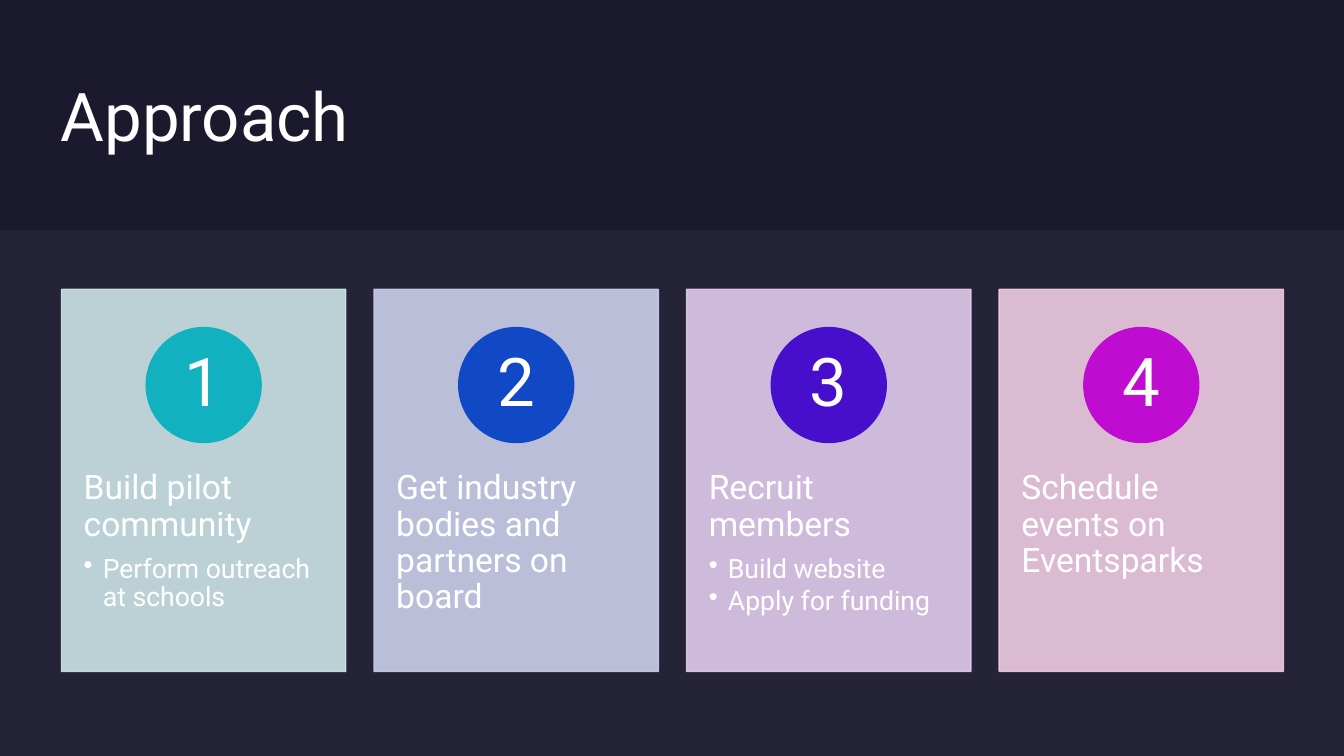
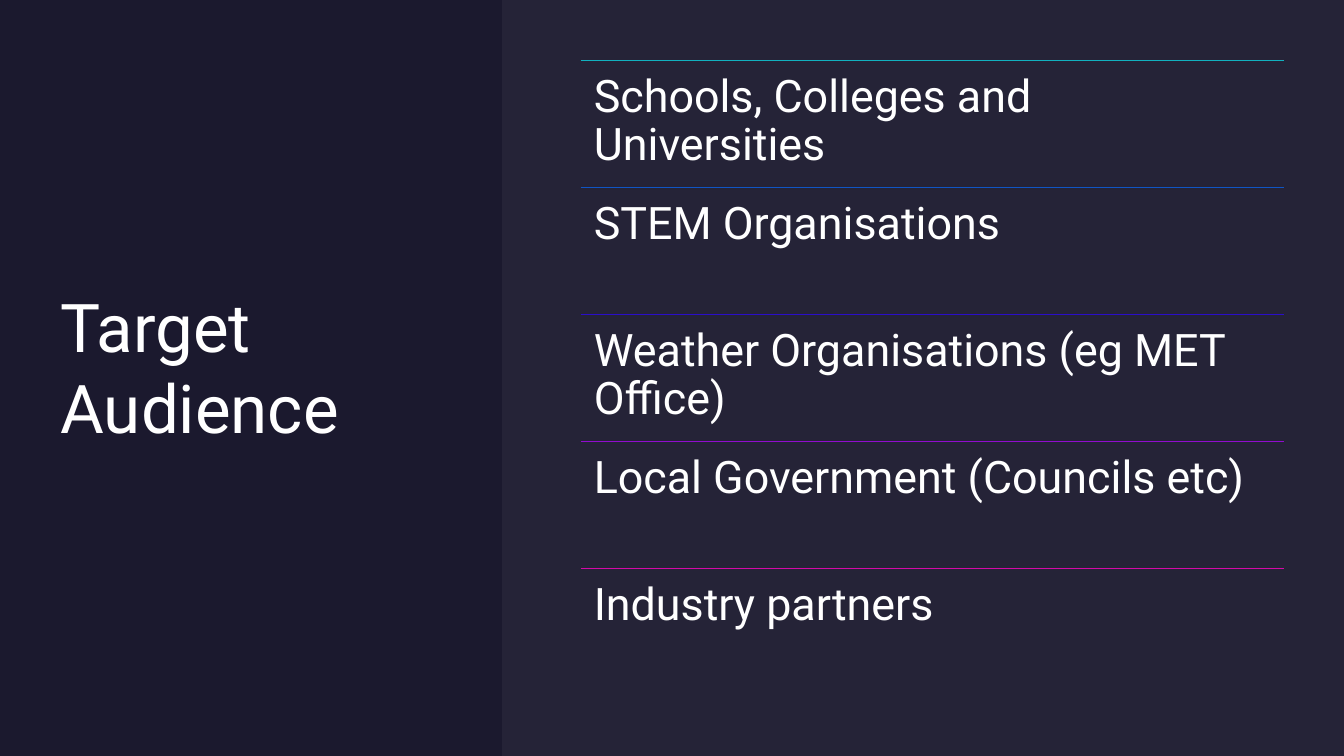
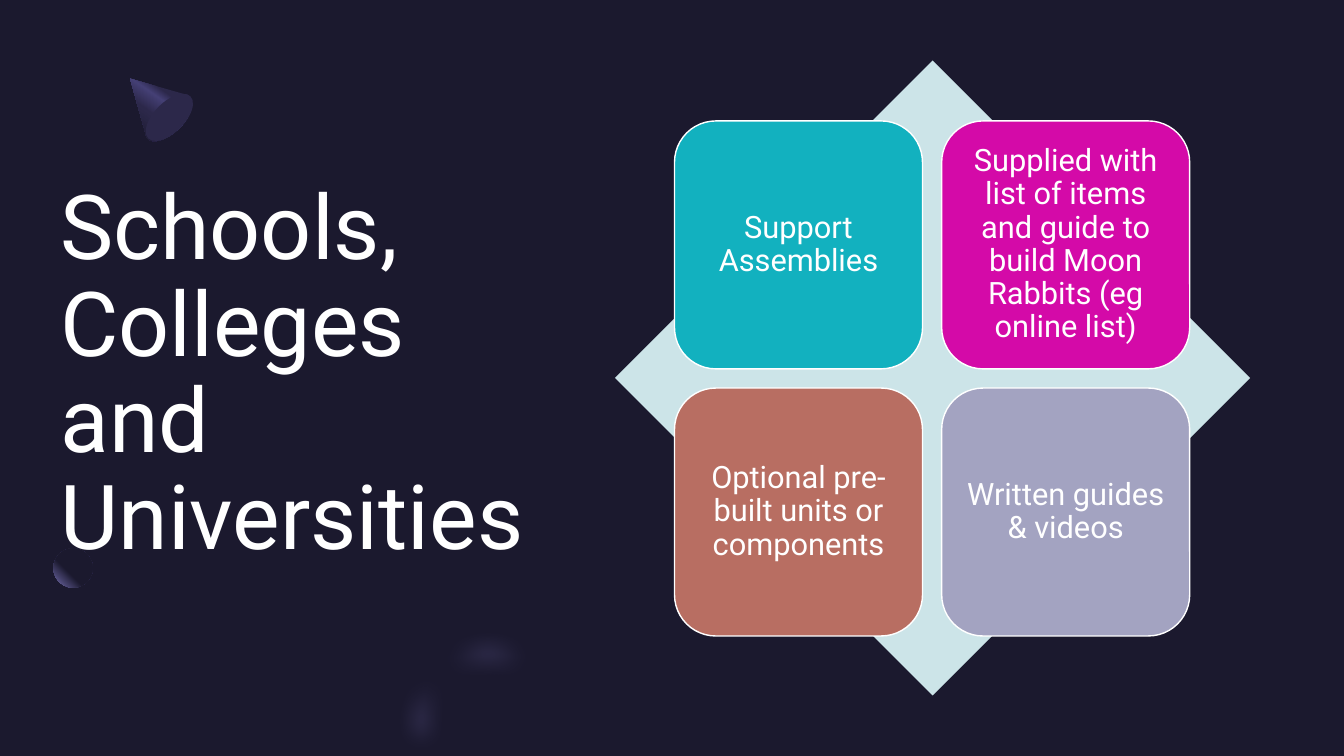
from lxml import etree
from pptx import Presentation
from pptx.dml.color import RGBColor
from pptx.enum import shapes, text
from pptx.oxml import parse_xml
from pptx.oxml.ns import nsdecls, qn
from pptx.util import Inches, Pt

COLORS = {
    "night": "1B192E", "veil": "E4E3F0", "white": "FFFFFF",
    "teal": "12B1BF", "blue": "1048C5", "indigo": "470ECB", "violet": "C00BD1",
    "pale teal": "CCE4E8", "pale blue": "CCCFEB", "pale indigo": "E1CCED", "pale pink": "EFCCE2",
    "azure": "1055C4", "ultramarine": "2A0EC9", "purple": "910CCF", "magenta": "D40AA8",
    "clay": "B86E62", "lavender": "A3A3C1",
    "shade": "2C284A", "dusk": "454075", "glow": "7771B2",
}
FONT = "Roboto"
KIND = shapes.MSO_SHAPE
CENTER = text.PP_ALIGN.CENTER
MIDDLE = text.MSO_ANCHOR.MIDDLE


def rgb(name):
    return RGBColor.from_string(COLORS[name])


def assign(target, values):
    for key, value in values.items():
        setattr(target, key, value)


def outline(start, *steps):
    """Points of a path; a step is an end point or three Bezier points."""
    points = [start]
    for step in steps:
        if len(step) == 2:
            points.append(step)
            continue
        x0, y0 = points[-1]
        x1, y1, x2, y2, x3, y3 = step
        for n in range(1, 13):
            t = n / 12
            a, b, c, d = (1 - t) ** 3, 3 * t * (1 - t) ** 2, 3 * t * t * (1 - t), t ** 3
            points.append((a * x0 + b * x1 + c * x2 + d * x3,
                           a * y0 + b * y1 + c * y2 + d * y3))
    return points


class Deck:
    def __init__(self):
        self.prs = Presentation()
        assign(self.prs, {"slide_width": Inches(13.33), "slide_height": Inches(7.5)})
        fill = self.prs.slide_master.background.fill
        fill.solid()
        fill.fore_color.rgb = rgb("night")
        self.slide = None

    def start(self, title, box, size=48, spacing=1.0):
        self.slide = self.prs.slides.add_slide(self.prs.slide_layouts[5])
        holder = self.slide.shapes.title
        assign(holder, dict(zip(("left", "top", "width", "height"), map(Inches, box))))
        self.put_text(holder, [(title, size, False)], inset=(0, 0, 0, 0),
                      anchor=MIDDLE, spacing=spacing, after=0)

    def put_text(self, shape, lines, inset, align=text.PP_ALIGN.LEFT,
                 anchor=text.MSO_ANCHOR.TOP, spacing=0.9, after=0.35):
        """Fill a shape with (words, size, bulleted) lines."""
        frame = shape.text_frame
        sides = ("margin_left", "margin_top", "margin_right", "margin_bottom")
        assign(frame, {"word_wrap": True, "auto_size": text.MSO_AUTO_SIZE.NONE,
                       "vertical_anchor": anchor, **dict(zip(sides, map(Inches, inset)))})
        for index, (words, size, bulleted) in enumerate(lines):
            para = frame.add_paragraph() if index else frame.paragraphs[0]
            if bulleted:
                props = para._p.get_or_add_pPr()
                props.set("marL", str(Inches(0.19)))
                props.set("indent", str(-Inches(0.19)))
                etree.SubElement(props, qn("a:buChar")).set("char", "•")
            assign(para, {"alignment": align, "line_spacing": spacing, "space_before": Pt(0),
                          "space_after": Pt(size * (0.15 if bulleted else after))})
            run = para.add_run()
            run.text = words
            assign(run.font, {"name": FONT, "size": Pt(size)})
            run.font.color.rgb = rgb("white")

    def paint(self, shape, fill, line=None, opacity=100):
        shape.shadow.inherit = False
        shape.fill.solid()
        shape.fill.fore_color.rgb = rgb(fill)
        if line:
            shape.line.color.rgb = rgb(line)
            shape.line.width = Pt(1)
        else:
            shape.line.fill.background()
        if opacity < 100:
            for color in list(shape._element.spPr.iter(qn("a:srgbClr"))):
                etree.SubElement(color, qn("a:alpha")).set("val", str(opacity * 1000))
        return shape

    def shape(self, kind, box, fill, line=None, opacity=100):
        return self.paint(self.slide.shapes.add_shape(kind, *map(Inches, box)),
                          fill, line, opacity)

    def freeform(self, points, fill, opacity=100):
        corners = [(Inches(x), Inches(y)) for x, y in points]
        builder = self.slide.shapes.build_freeform(*corners[0])
        builder.add_line_segments(corners[1:], close=True)
        return self.paint(builder.convert_to_shape(), fill, None, opacity)

    def gradient(self, shape, stops, course):
        """Swap a solid fill for a gradient; course is its a:lin or a:path element."""
        marks = "".join(f'<a:gs pos="{at * 1000}"><a:srgbClr val="{COLORS[name]}"/></a:gs>'
                        for at, name in stops)
        solid = shape._element.spPr.find(qn("a:solidFill"))
        solid.getparent().replace(solid, parse_xml(
            f'<a:gradFill {nsdecls("a")}><a:gsLst>{marks}</a:gsLst>{course}</a:gradFill>'))

    def soften(self, shape, radius):
        effects = shape._element.spPr.find(qn("a:effectLst"))
        etree.SubElement(effects, qn("a:softEdge")).set("rad", str(Pt(radius)))

    def rule(self, left, top, width, color):
        line = self.slide.shapes.add_connector(
            shapes.MSO_CONNECTOR.STRAIGHT, *map(Inches, (left, top, left + width, top)))
        line.line.color.rgb = rgb(color)
        line.line.width = Pt(1)
        etree.SubElement(line._element.spPr, qn("a:effectLst"))

    def text_box(self, box, lines, inset):
        self.put_text(self.slide.shapes.add_textbox(*map(Inches, box)), lines, inset)


def approach(deck):
    deck.start("Approach", (0.6, 0.6, 7.99, 1.08))
    deck.shape(KIND.RECTANGLE, (0, 2.28, 13.33, 5.22), "veil", opacity=5)
    steps = [
        ("Build pilot community", ["Perform outreach at schools"], "pale teal", "teal"),
        ("Get industry bodies and partners on board", [], "pale blue", "blue"),
        ("Recruit members", ["Build website", "Apply for funding"], "pale indigo", "indigo"),
        ("Schedule events on Eventsparks", [], "pale pink", "violet"),
    ]
    for index, (heading, details, pale, strong) in enumerate(steps):
        left = 0.61 + 3.1 * index
        card = deck.shape(KIND.RECTANGLE, (left, 2.87, 2.82, 3.79), pale, pale, 90)
        lines = [(heading, 24, False)] + [(detail, 19, True) for detail in details]
        deck.put_text(card, lines, (0.22, 1.8, 0.22, 0.36))
        badge = deck.shape(KIND.OVAL, (left + 0.84, 3.25, 1.14, 1.14), strong, strong)
        deck.put_text(badge, [(str(index + 1), 48, False)], (0, 0, 0, 0), CENTER, MIDDLE, after=0)


def target_audience(deck):
    deck.start("Target Audience", (0.6, 0.6, 3.9, 6.06))
    deck.shape(KIND.RECTANGLE, (4.98, 0, 8.35, 7.5), "veil", opacity=5)
    audiences = [
        ("Schools, Colleges and Universities", "teal"),
        ("STEM Organisations", "azure"),
        ("Weather Organisations (eg MET Office)", "ultramarine"),
        ("Local Government (Councils etc)", "purple"),
        ("Industry partners", "magenta"),
    ]
    left, width, pitch = 5.76, 6.97, 1.26
    for index, (audience, color) in enumerate(audiences):
        top = 0.6 + pitch * index
        deck.rule(left, top, width, color)
        deck.text_box((left, top, width, pitch), [(audience, 32, False)], (0.13,) * 4)


def ornaments(deck):
    cone = deck.freeform(outline(
        (1.29, 0.78), (1.85, 0.94), (1.86, 0.94), (1.87, 0.95, 1.88, 0.95, 1.88, 0.96),
        (1.94, 1.02, 1.89, 1.16, 1.78, 1.27), (1.66, 1.39, 1.52, 1.43, 1.47, 1.38),
        (1.46, 1.37, 1.45, 1.36, 1.45, 1.35)), "shade")
    deck.gradient(cone, [(30, "shade"), (40, "dusk"), (60, "shade"), (100, "night")],
                  f'<a:lin ang="{125 * 60000}" scaled="0"/>')
    deck.shape(KIND.OVAL, (1.53, 0.87, 0.3, 0.59), "shade").rotation = 45
    ball = deck.shape(KIND.OVAL, (0.53, 5.44, 0.39, 0.39), "night")
    deck.gradient(ball, [(60, "night"), (100, "glow")],
                  '<a:path path="circle"><a:fillToRect l="100000" b="100000"/></a:path>')
    arc = deck.freeform(outline(
        (4.8, 6.21), (5.11, 6.19, 5.43, 6.32, 5.68, 6.57), (5.33, 6.93),
        (5.1, 6.7, 4.76, 6.68, 4.56, 6.88), (4.42, 7.03, 4.39, 7.26, 4.48, 7.46),
        (4.5, 7.5), (3.94, 7.5), (3.92, 7.43), (3.84, 7.08, 3.91, 6.72, 4.16, 6.48),
        (4.33, 6.3, 4.56, 6.21, 4.8, 6.21)), "glow", 40)
    deck.soften(arc, 15)


def schools(deck):
    deck.start("Schools, Colleges and Universities", (0.6, 1.66, 4.96, 4.13), 64, 0.9)
    ornaments(deck)
    deck.shape(KIND.DIAMOND, (6.1, 0.6, 6.3, 6.3), "pale teal")
    offers = [
        ("Support Assemblies", "teal"),
        ("Supplied with list of items and guide to build Moon Rabbits (eg online list)", "magenta"),
        ("Optional pre-built units or components", "clay"),
        ("Written guides & videos", "lavender"),
    ]
    side, pitch = 2.46, 2.65
    for index, (offer, color) in enumerate(offers):
        row, column = divmod(index, 2)
        tile = deck.shape(KIND.ROUNDED_RECTANGLE,
                          (6.69 + pitch * column, 1.2 + pitch * row, side, side), color, "white")
        deck.put_text(tile, [(offer, 22, False)], (0.09,) * 4, CENTER, MIDDLE, after=0)


def main():
    deck = Deck()
    for build in (approach, target_audience, schools):
        build(deck)
    deck.prs.save("out.pptx")


if __name__ == "__main__":
    main()
